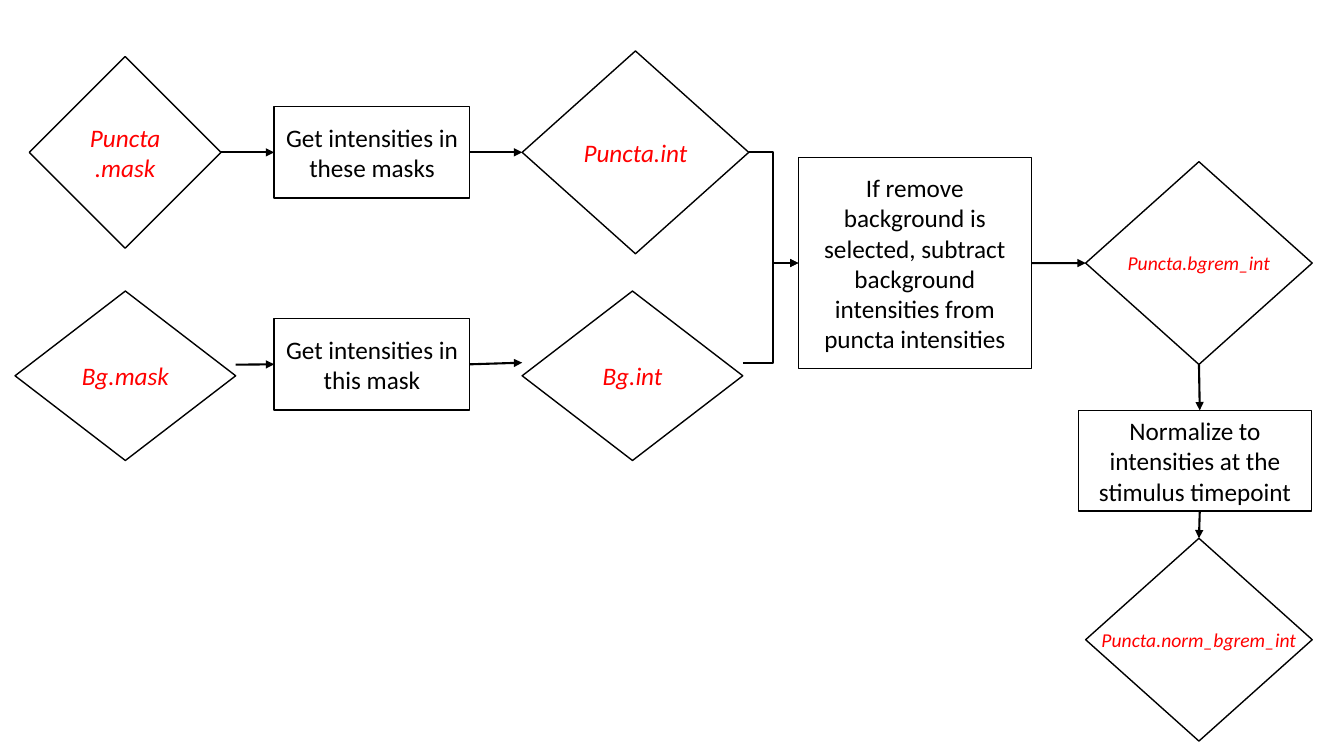
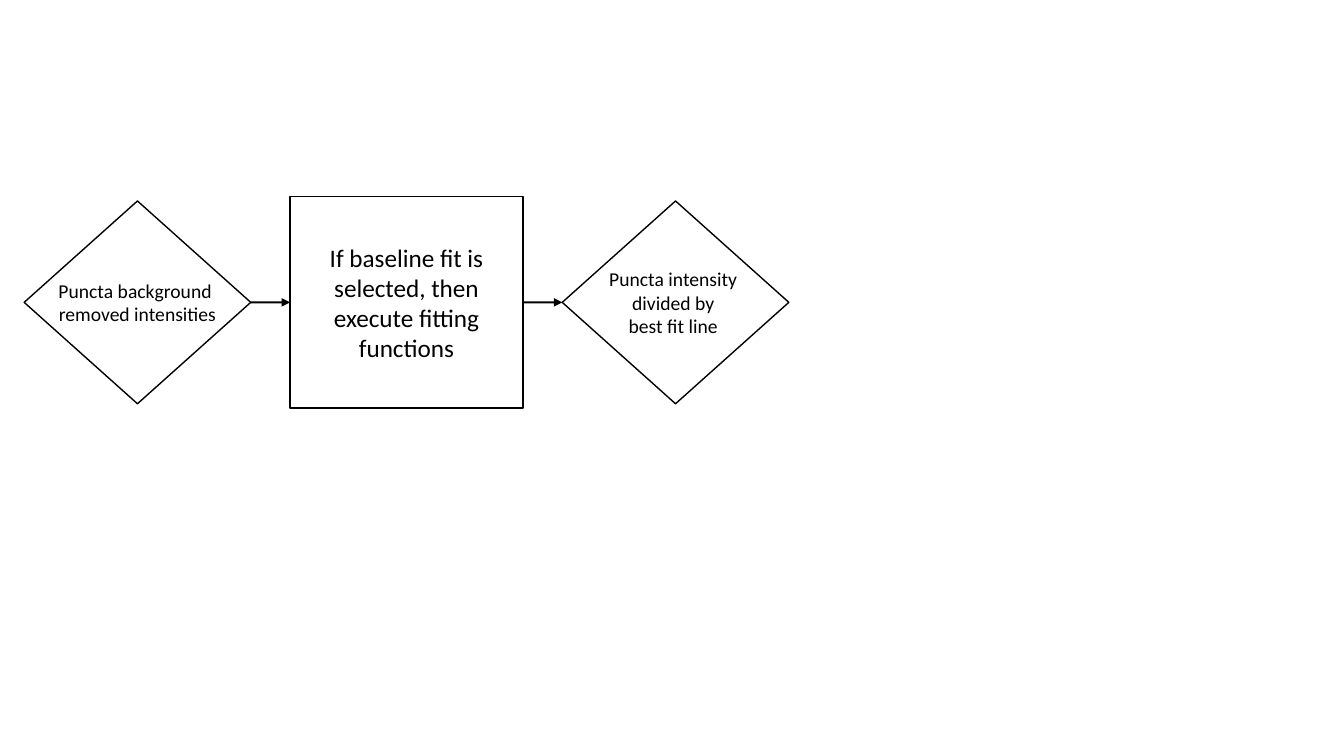
from lxml.etree import SubElement
from pptx import Presentation
from pptx.dml.color import RGBColor
from pptx.enum.shapes import MSO_CONNECTOR, MSO_SHAPE
from pptx.enum.text import MSO_ANCHOR, PP_ALIGN
from pptx.oxml.ns import qn
from pptx.util import Cm, Pt

FONT = "Calibri"
BLACK, WHITE, RED = "000000", "FFFFFF", "FF0000"
OUTLINE_WIDTH, ARROW_WIDTH = 1, 1.5

# Width and height in cm
LARGE_DIAMOND = (5.71, 5.11)
MASK_DIAMOND = (4.83, 4.83)
BACKGROUND_DIAMOND = (5.56, 4.27)
SMALL_BOX = (4.93, 2.31)
LARGE_BOX = (5.87, 5.33)
WIDE_BOX = (5.87, 2.54)

# Left edges and row centres in cm
BOX_LEFT, INTENSITY_LEFT, REMOVE_LEFT = 6.91, 13.16, 20.12
NORMALIZE_LEFT, RESULT_LEFT = 27.18, 27.36
PUNCTA_ROW, BACKGROUND_ROW, BACKGROUND_BOX_ROW, MERGE_ROW = 3.84, 9.47, 9.18, 6.63
NORMALIZE_ROW, NORMALIZED_ROW = 11.61, 16.12
MERGE_BEND = 19.48

# Variables: name, text, size, left, centre height, point size
VARIABLES = [
    ("puncta mask", "Puncta.mask", MASK_DIAMOND, 0.74, PUNCTA_ROW, 18),
    ("background mask", "Bg.mask", BACKGROUND_DIAMOND, 0.38, BACKGROUND_ROW, 18),
    ("puncta", "Puncta.int", LARGE_DIAMOND, INTENSITY_LEFT, PUNCTA_ROW, 18),
    ("background", "Bg.int", BACKGROUND_DIAMOND, INTENSITY_LEFT, BACKGROUND_ROW, 18),
    ("removed", "Puncta.bgrem_int", LARGE_DIAMOND, RESULT_LEFT, MERGE_ROW, 14),
    ("normalized", "Puncta.norm_bgrem_int", LARGE_DIAMOND, RESULT_LEFT, NORMALIZED_ROW, 14),
]

# Steps: name, text, size, left, centre height
STEPS = [
    ("get puncta", "Get intensities in these masks", SMALL_BOX, BOX_LEFT, PUNCTA_ROW),
    ("get background", "Get intensities in this mask", SMALL_BOX, BOX_LEFT,
     BACKGROUND_BOX_ROW),
    ("subtract", "If remove background is selected, subtract background "
     "intensities from puncta intensities", LARGE_BOX, REMOVE_LEFT, MERGE_ROW),
    ("normalize", "Normalize to intensities at the stimulus timepoint", WIDE_BOX,
     NORMALIZE_LEFT, NORMALIZE_ROW),
]

# Arrows: (node, side, shift along the side) at both ends, bend position
ARROWS = [
    (("puncta mask", "right", 0), ("get puncta", "left", 0), None),
    (("background mask", "right", -0.28), ("get background", "left", 0), None),
    (("get background", "right", 0), ("background", "left", -0.33), None),
    (("get puncta", "right", 0), ("puncta", "left", 0), None),
    (("puncta", "right", 0), ("subtract", "left", 0), MERGE_BEND),
    (("background", "right", -0.33), ("subtract", "left", 0), MERGE_BEND),
    (("subtract", "right", 0), ("removed", "left", 0), None),
    (("removed", "bottom", 0), ("normalize", "top", 0.12), None),
    (("normalize", "bottom", 0.12), ("normalized", "top", 0), None),
]

# Baseline fit: geometry, lines, size, point size
FIT_LEFT, FIT_GAP, FIT_ROW = 0.61, 0.99, 7.62
FIT_CHAIN = [
    (MSO_SHAPE.DIAMOND, ["Puncta background ", "removed intensities"], LARGE_DIAMOND, 14),
    (MSO_SHAPE.RECTANGLE, ["If baseline fit is selected, then execute fitting functions"],
     LARGE_BOX, 18),
    (MSO_SHAPE.DIAMOND, ["Puncta intensity ", "divided by ", "best fit line "],
     LARGE_DIAMOND, 14),
]

# Connection site and position on the frame for each side
SIDES = {
    "top": (0, 0.5, 0),
    "left": (1, 0, 0.5),
    "bottom": (2, 0.5, 1),
    "right": (3, 1, 0.5),
}


def color(hex_string):
    """Turn a hex string into a colour."""
    return RGBColor.from_string(hex_string)


def add_node(slide, geometry, lines, size, left, middle, points,
             text_color=BLACK, italic=False, wrap=True):
    """Add an outlined shape, vertically centred on middle, with centred text."""
    width, height = size
    shape = slide.shapes.add_shape(
        geometry, Cm(left), Cm(middle - height / 2), Cm(width), Cm(height))
    shape.shadow.inherit = False
    shape.fill.solid()
    shape.fill.fore_color.rgb = color(WHITE)
    shape.line.color.rgb = color(BLACK)
    shape.line.width = Pt(OUTLINE_WIDTH)
    frame = shape.text_frame
    frame.word_wrap = wrap
    frame.vertical_anchor = MSO_ANCHOR.MIDDLE
    for index, line in enumerate(lines):
        paragraph = frame.add_paragraph() if index else frame.paragraphs[0]
        paragraph.alignment = PP_ALIGN.CENTER
        run = paragraph.add_run()
        run.text = line
        run.font.name = FONT
        run.font.size = Pt(points)
        run.font.italic = italic
        run.font.color.rgb = color(text_color)
    return shape


def side_point(shape, side, shift):
    """Return the point on a side, moved along that side by shift."""
    _, across, down = SIDES[side]
    x = shape.left + int(shape.width * across)
    y = shape.top + int(shape.height * down)
    if side in ("top", "bottom"):
        return x + Cm(shift), y
    return x, y + Cm(shift)


def add_arrow(slide, start, end, bend=None):
    """Join two (shape, side, shift) ends, and glue each end without a shift."""
    start_point, end_point = side_point(*start), side_point(*end)
    kind = MSO_CONNECTOR.STRAIGHT if bend is None else MSO_CONNECTOR.ELBOW
    connector = slide.shapes.add_connector(kind, *start_point, *end_point)
    for (shape, side, shift), connect in ((start, connector.begin_connect),
                                          (end, connector.end_connect)):
        if not shift:
            connect(shape, SIDES[side][0])
    connector.line.color.rgb = color(BLACK)
    connector.line.width = Pt(ARROW_WIDTH)
    properties = connector.element.find(qn("p:spPr"))
    SubElement(properties.find(qn("a:ln")), qn("a:tailEnd"), type="triangle")
    SubElement(properties, qn("a:effectLst"))
    if bend is not None:
        share = (Cm(bend) - start_point[0]) / (end_point[0] - start_point[0])
        geometry = properties.find(qn("a:prstGeom"))
        adjustments = geometry.find(qn("a:avLst"))
        if adjustments is None:
            adjustments = SubElement(geometry, qn("a:avLst"))
        SubElement(adjustments, qn("a:gd"), name="adj1",
                   fmla=f"val {round(share * 100000)}")


def build_intensity_slide(slide):
    """Draw the flow from masks to normalized intensities."""
    nodes = {}
    for name, text, size, left, middle, points in VARIABLES:
        nodes[name] = add_node(slide, MSO_SHAPE.DIAMOND, [text], size, left, middle,
                               points, RED, italic=True, wrap=size == MASK_DIAMOND)
    for name, text, size, left, middle in STEPS:
        nodes[name] = add_node(slide, MSO_SHAPE.RECTANGLE, [text], size, left, middle, 18)
    for (source, *start), (target, *end), bend in ARROWS:
        add_arrow(slide, (nodes[source], *start), (nodes[target], *end), bend)


def build_fit_slide(slide):
    """Draw the baseline fit as a row with equal gaps."""
    left, previous = FIT_LEFT, None
    for geometry, lines, size, points in FIT_CHAIN:
        shape = add_node(slide, geometry, lines, size, left, FIT_ROW, points,
                         wrap=geometry == MSO_SHAPE.RECTANGLE)
        if previous is not None:
            add_arrow(slide, (previous, "right", 0), (shape, "left", 0))
        left += size[0] + FIT_GAP
        previous = shape


presentation = Presentation()
presentation.slide_width = Cm(33.87)
presentation.slide_height = Cm(19.05)
for build in (build_intensity_slide, build_fit_slide):
    build(presentation.slides.add_slide(presentation.slide_layouts[6]))
presentation.save("out.pptx")
